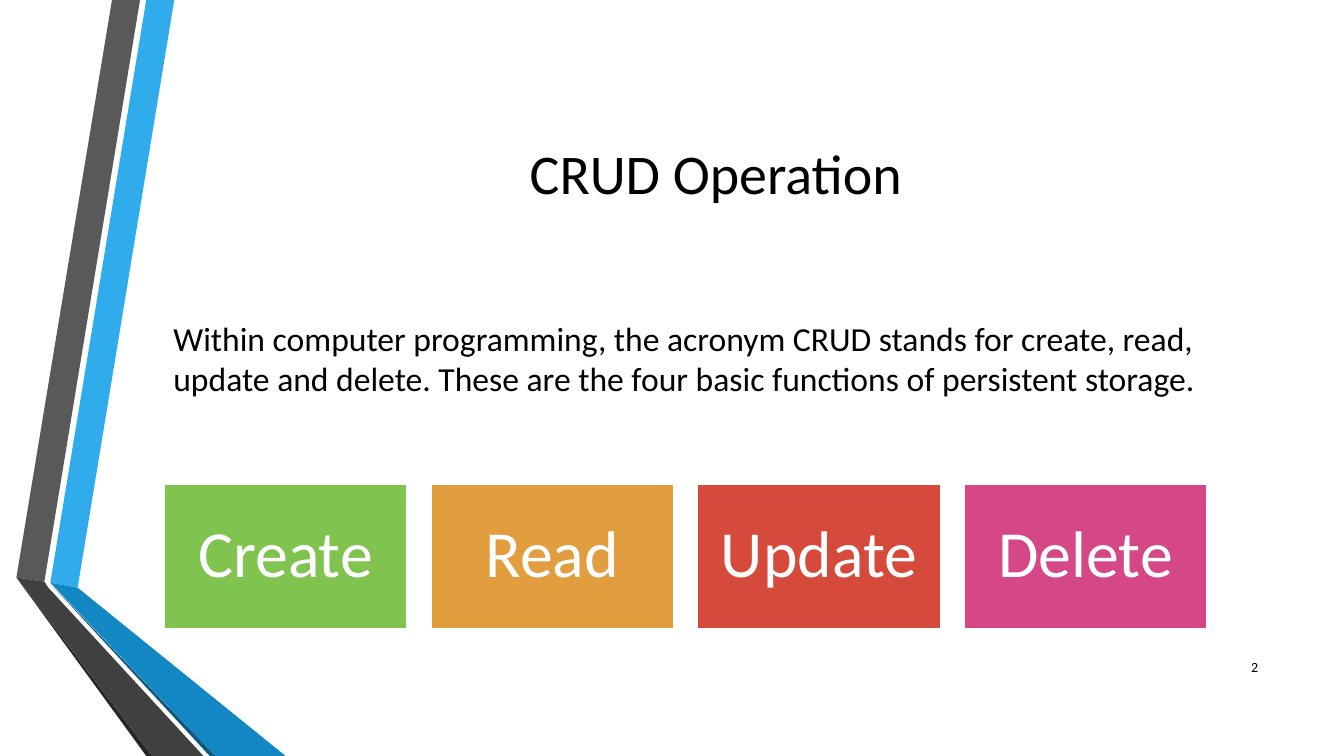
from pptx import Presentation
from pptx.dml.color import RGBColor
from pptx.enum import shapes, text
from pptx.util import Pt

FONT = "Calibri"
RIBBONS = [
    ("30ACEC", [(36, 416.2), (55.5, 419.8), (124.5, 0), (104.5, 0)]),
    ("595959", [(100, 0), (80, 0), (11.7, 412.5), (31.7, 415.5)]),
    ("262626", [(11.7, 412.5), (104.5, 540), (108.7, 540)]),
    ("0C5A82", [(36, 416.9), (149.8, 540), (154, 540)]),
    ("1287C3", [(36, 416.2), (154, 540), (204, 540), (55.5, 419.8)]),
    ("404040", [(145.3, 540), (34.5, 419.8), (31.7, 415.5), (11.7, 412.5), (108.7, 540)]),
]
OPERATIONS = [("Create", "80C34F"), ("Read", "E29D3E"), ("Update", "D64A3B"), ("Delete", "D64787")]


def color(value):
    return RGBColor.from_string(value)


def paint(sp, fill, line=None):
    sp.shadow.inherit = False
    sp.fill.solid()
    sp.fill.fore_color.rgb = color(fill)
    if line:
        sp.line.color.rgb = color(line)
        sp.line.width = Pt(1.25)
    else:
        sp.line.fill.background()


def write(sp, words, size, fill="000000", align="LEFT", spacing=1.0, after=0):
    tf = sp.text_frame
    tf.word_wrap = True
    tf.vertical_anchor = text.MSO_ANCHOR.MIDDLE
    p = tf.paragraphs[0]
    p.alignment = getattr(text.PP_ALIGN, align)
    p.line_spacing = spacing
    p.space_after = Pt(after)
    r = p.add_run()
    r.text = words
    r.font.name = FONT
    r.font.size = Pt(size)
    r.font.color.rgb = color(fill)


def add_text(s, box, words, size, **form):
    sp = s.shapes.add_textbox(*map(Pt, box))
    write(sp, words, size, **form)


def add_ribbons(s, left, top):
    for fill, points in RIBBONS:
        corners = [(Pt(left + x), Pt(top + y)) for x, y in points]
        outline = s.shapes.build_freeform(*corners[0])
        outline.add_line_segments(corners[1:])
        paint(outline.convert_to_shape(), fill)


def add_operations(s, left, top, width, height, gap):
    card = (width - gap * (len(OPERATIONS) - 1)) / len(OPERATIONS)
    for i, (name, fill) in enumerate(OPERATIONS):
        box = (left + i * (card + gap), top, card, height)
        sp = s.shapes.add_shape(shapes.MSO_SHAPE.RECTANGLE, *map(Pt, box))
        paint(sp, fill, "FFFFFF")
        write(sp, name, 47, fill="FFFFFF", align="CENTER", spacing=0.9)


def add_content(s, left, top, width):
    add_text(s, (left, top, width, 138), "CRUD Operation", 40, align="CENTER")
    add_text(s, (left, top + 156, width, 92),
             "Within computer programming, the acronym CRUD stands for create, read, "
             "update and delete. These are the four basic functions of persistent storage.",
             24, after=6)
    add_operations(s, left + 0.5, top + 291.8, 745, 103.6, 17)
    add_text(s, (left + width - 43, top + 408, 43, 29), "2", 10, align="RIGHT")


prs = Presentation()
prs.slide_width, prs.slide_height = Pt(960), Pt(540)
s = prs.slides.add_slide(prs.slide_layouts[6])
add_ribbons(s, 0, 0)
add_content(s, 116.8, 54, 789)
prs.save("out.pptx")
